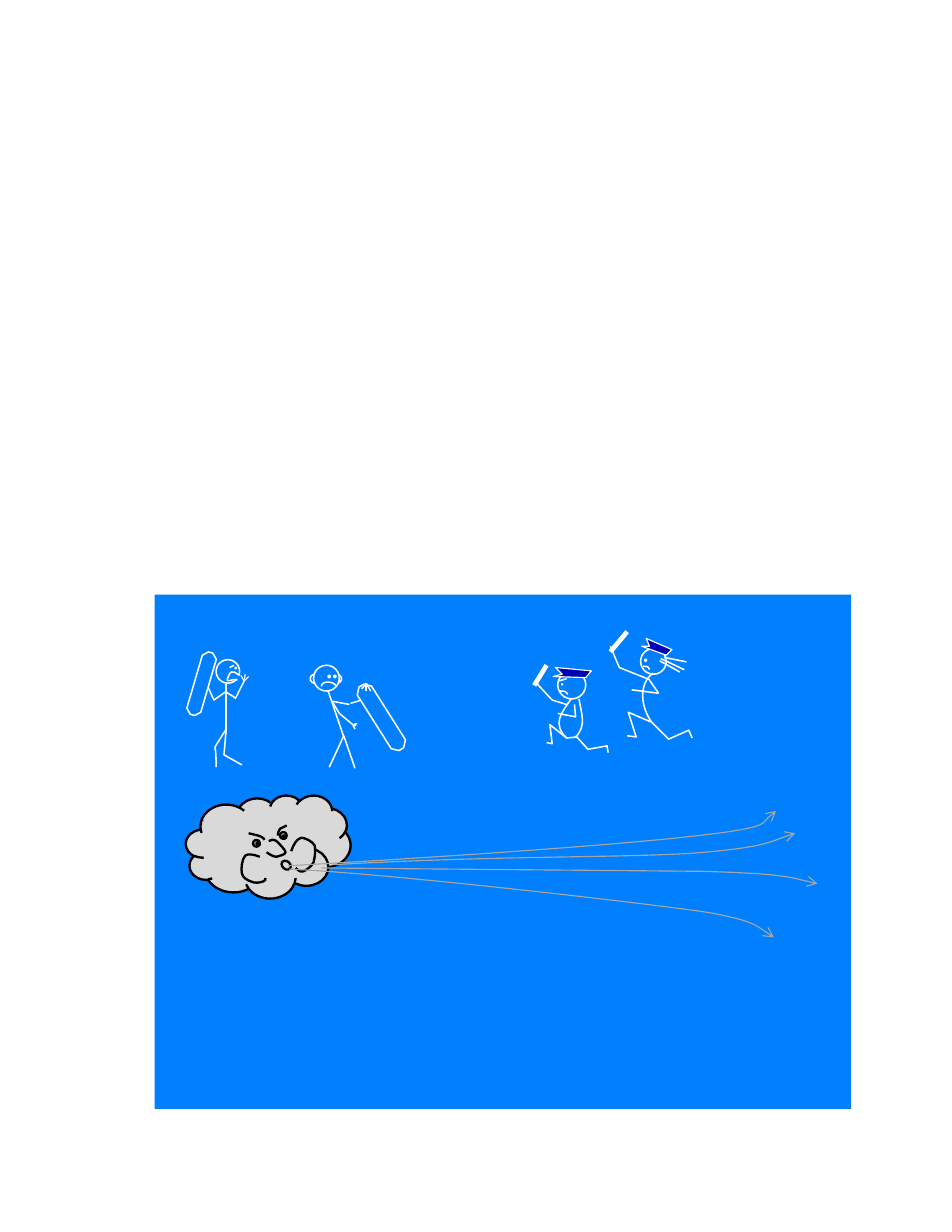
from lxml.etree import SubElement
from pptx import Presentation
from pptx.dml.color import RGBColor
from pptx.enum.shapes import MSO_CONNECTOR, MSO_SHAPE
from pptx.oxml.ns import qn
from pptx.util import Pt

PX = 9144
PAGE = (850, 1100)
SKY = (138, 531, 622, 459)
BLUE, WHITE, BLACK = "0080FF", "FFFFFF", "000000"
NAVY, CLOUD_GREY, WIND_GREY = "0000B4", "D9D9D9", "A6A6A6"

PRESETS = {
    "ellipse": MSO_SHAPE.OVAL,
    "octagon": MSO_SHAPE.OCTAGON,
    "arc": MSO_SHAPE.ARC,
    "cloud": MSO_SHAPE.CLOUD_CALLOUT,
}

HAT = {"fill": NAVY, "width": 0.75}
DOT = {"fill": WHITE, "width": 0}
FINGER = {"width": 0.75}
BATON = {"width": 3}
GUST = {"width": 0.75, "arrow": True}

near_officer = [
    ("path", "488,663 493,664 491,647 506,659 515,658 525,669 542,666 543,672", {}),
    ("path", "513,629 514,640 498,637", {}),
    ("path", "506,659 C 493,646 501,637 510,624", {}),
    ("path", "514,658 C 524,648 519,637 517,624", {}),
    ("path", "480,607 C 480,608 480,609 480,611 L 493,625 506,629", {}),
    ("ellipse", (498, 599, 25, 25), {"fill": BLUE}),
    ("ellipse", (501, 610, 2, 2), DOT),
    ("path", "494,604 523,605 528,599 496,596 502,602 Z", HAT),
    ("path", "500,617 C 504,617 505,617 507,620", {}),
    ("path", "499,608 506,606", {}),
    ("line", (488, 594, 477, 612), BATON),
]

far_officer = [
    ("path", "618,659 615,652 597,660 582,645 561,636 568,658 560,657", {}),
    ("line", (593, 587, 613, 591), {}),
    ("ellipse", (572, 579, 23, 23), {}),
    ("ellipse", (575, 588, 3, 3), DOT),
    ("path", "574,595 C 578,595 579,595 580,598", {}),
    ("path", "573,577 595,585 600,580 577,570 580,577 Z", HAT),
    ("line", (590, 588, 611, 598), {}),
    ("line", (589, 590, 607, 600), {}),
    ("path", "583,601 C 570,611 572,631 582,645", {}),
    ("path", "545,577 553,596 578,606", {}),
    ("path", "564,616 588,619 579,606", {}),
    ("line", (560, 564, 545, 582), BATON),
]

board_dragger = [
    ("line", (293, 617, 307, 658), {}),
    ("line", (307, 657, 317, 686), {}),
    ("line", (307, 657, 294, 685), {}),
    ("line", (323, 625, 313, 628), {}),
    ("line", (297, 627, 303, 637), {}),
    ("line", (315, 647, 303, 637), {}),
    ("line", (317, 651, 315, 647), {}),
    ("line", (318, 648, 315, 647), {}),
    ("line", (319, 646, 316, 647), {}),
    ("line", (312, 629, 296, 626), {}),
    ("octagon", (307, 633, 67, 15), {"turn": 237.7, "adjust": (0.34,), "fill": BLUE}),
    ("line", (331, 617, 327, 610), {}),
    ("line", (323, 615, 327, 610), {}),
    ("line", (327, 617, 327, 610), {}),
    ("ellipse", (280, 594, 23, 23), {"fill": BLUE}),
    ("arc", (287, 609, 13, 7), {"turn": 184.6, "adjust": (211.17, 102.01)}),
    ("arc", (277, 602, 8, 8), {"turn": 8.6, "adjust": (53.19, 149.68)}),
    ("arc", (297, 602, 8, 8), {"turn": 351.4, "adjust": (56.85, 149.39), "flip": True}),
    ("ellipse", (293, 603, 2, 2), {"fill": WHITE}),
    ("ellipse", (298, 603, 2, 2), {"fill": WHITE}),
]

board_carrier = [
    ("line", (215, 603, 218, 608), FINGER),
    ("line", (219, 602, 218, 608), FINGER),
    ("line", (222, 604, 218, 608), FINGER),
    ("arc", (193, 589, 21, 21), {"adjust": (24.98, 11.14), "fill": BLUE}),
    ("path", "212,607 C 208,605 200,612 204,604 207,595 212,603 214,603", {}),
    ("ellipse", (210, 596, 1, 1), {"fill": BLACK}),
    ("line", (202, 618, 210, 623), {}),
    ("line", (210, 624, 218, 608), {}),
    ("line", (202, 611, 202, 651), {}),
    ("octagon", (151, 604, 58, 13), {"turn": 286.3, "adjust": (0.34,), "fill": BLUE}),
    ("path", "186,614 191,625 201,618", {}),
    ("line", (205, 596, 209, 594), {}),
    ("path", "193,685 C 193,679 193,673 192,667 L 202,651 200,674 216,683", {}),
]

wind_cloud = [
    ("cloud", (166, 710, 147, 92), {"adjust": (-0.15, -0.1), "fill": CLOUD_GREY}),
    ("path", "182,731 C 183,729 184,727 187,726 190,726 195,725 201,728 "
             "207,731 218,739 222,743 225,748 224,751 222,753 220,755 216,754 212,753 "
             "207,753 198,750 193,748 188,746 184,744 182,743 180,741 181,739 181,737 Z",
     {"fill": CLOUD_GREY, "width": 0}),
    ("ellipse", (229, 752, 3, 3), {"fill": BLACK}),
    ("ellipse", (252, 746, 3, 3), {"fill": BLACK}),
    ("ellipse", (226, 750, 6, 6), {}),
    ("ellipse", (250, 743, 6, 6), {}),
    ("path", "240,751 C 242,750 244,749 247,751 249,753 255,759 255,761 "
             "255,763 250,764 247,765 244,765 241,763 238,761", {}),
    ("path", "232,765 C 227,763 221,762 219,764 216,767 215,776 216,780 "
             "217,784 221,786 224,787 227,789 233,788 235,787 237,787 237,785 237,784", {}),
    ("path", "260,760 C 262,754 265,749 269,748 272,748 279,751 281,755 "
             "282,759 281,766 280,770 278,774 273,777 271,778 268,779 266,777 264,775", {}),
    ("path", "222,744 C 226,745 231,746 233,747 235,748 236,749 236,750", {}),
    ("path", "256,737 C 254,738 252,739 250,740 249,741 248,744 248,746", {}),
    ("ellipse", (252, 768, 7, 9), {"turn": 130.1}),
]

gusts = [
    ("path", "257,773 C 399,765 542,755 615,747 688,739 681,732 693,724", GUST),
    ("path", "298,772 C 441,764 546,766 615,762 683,757 695,748 710,744", GUST),
    ("path", "287,775 626,778 C 700,780 711,785 730,789", GUST),
    ("path", "258,776 C 351,780 597,809 634,815 671,822 678,828 691,837", GUST),
]

SCENE = [
    (near_officer, WHITE, 1),
    (far_officer, WHITE, 1),
    (board_dragger, WHITE, 1),
    (board_carrier, WHITE, 1),
    (wind_cloud, BLACK, 1.5),
    (gusts, WIND_GREY, 0.75),
]


def colour(value):
    return RGBColor.from_string(value)


def add_outline(shapes, outline):
    points, curved, mode = [], [], "L"
    for token in outline.split():
        if token.isalpha():
            mode = token
        else:
            points.append(tuple(int(n) for n in token.split(",")))
            curved.append(mode == "C")
    builder = shapes.build_freeform(*points[0], scale=PX)
    builder.add_line_segments(points[1:], close=mode == "Z")
    shape = builder.convert_to_shape()
    segments = list(shape._element.iter(qn("a:lnTo")))
    bends = [s for s, is_curve in zip(segments, curved[1:]) if is_curve]
    for first, second, third in zip(bends[::3], bends[1::3], bends[2::3]):
        first.tag = qn("a:cubicBezTo")
        for other in (second, third):
            first.append(other[0])
            other.getparent().remove(other)
    return shape


def add_part(shapes, kind, geometry, ink, width, fill=None, turn=0, adjust=(),
             flip=False, arrow=False):
    if kind == "line":
        shape = shapes.add_connector(MSO_CONNECTOR.STRAIGHT, *(n * PX for n in geometry))
    elif kind == "path":
        shape = add_outline(shapes, geometry)
    else:
        shape = shapes.add_shape(PRESETS[kind], *(n * PX for n in geometry))
        shape.rotation = turn
        for index, value in enumerate(adjust):
            shape.adjustments[index] = value
    if flip:
        shape._element.spPr.xfrm.set("flipH", "1")
    if width:
        shape.line.color.rgb = colour(ink)
        shape.line.width = Pt(width)
    else:
        shape.line.fill.background()
    if arrow:
        SubElement(shape.line._get_or_add_ln(), qn("a:tailEnd"), type="arrow")
    if kind == "line":
        SubElement(shape._element.spPr, qn("a:effectLst"))
        return
    shape.shadow.inherit = False
    if fill:
        shape.fill.solid()
        shape.fill.fore_color.rgb = colour(fill)
    else:
        shape.fill.background()


def main():
    deck = Presentation()
    deck.slide_width, deck.slide_height = (n * PX for n in PAGE)
    slide = deck.slides.add_slide(deck.slide_layouts[6])
    sky = slide.shapes.add_shape(MSO_SHAPE.RECTANGLE, *(n * PX for n in SKY))
    sky.shadow.inherit = False
    sky.fill.solid()
    sky.fill.fore_color.rgb = colour(BLUE)
    sky.line.fill.background()
    for figure, ink, width in SCENE:
        group = slide.shapes.add_group_shape()
        for kind, geometry, style in figure:
            add_part(group.shapes, kind, geometry, ink, **{"width": width, **style})
    deck.save("out.pptx")


if __name__ == "__main__":
    main()
